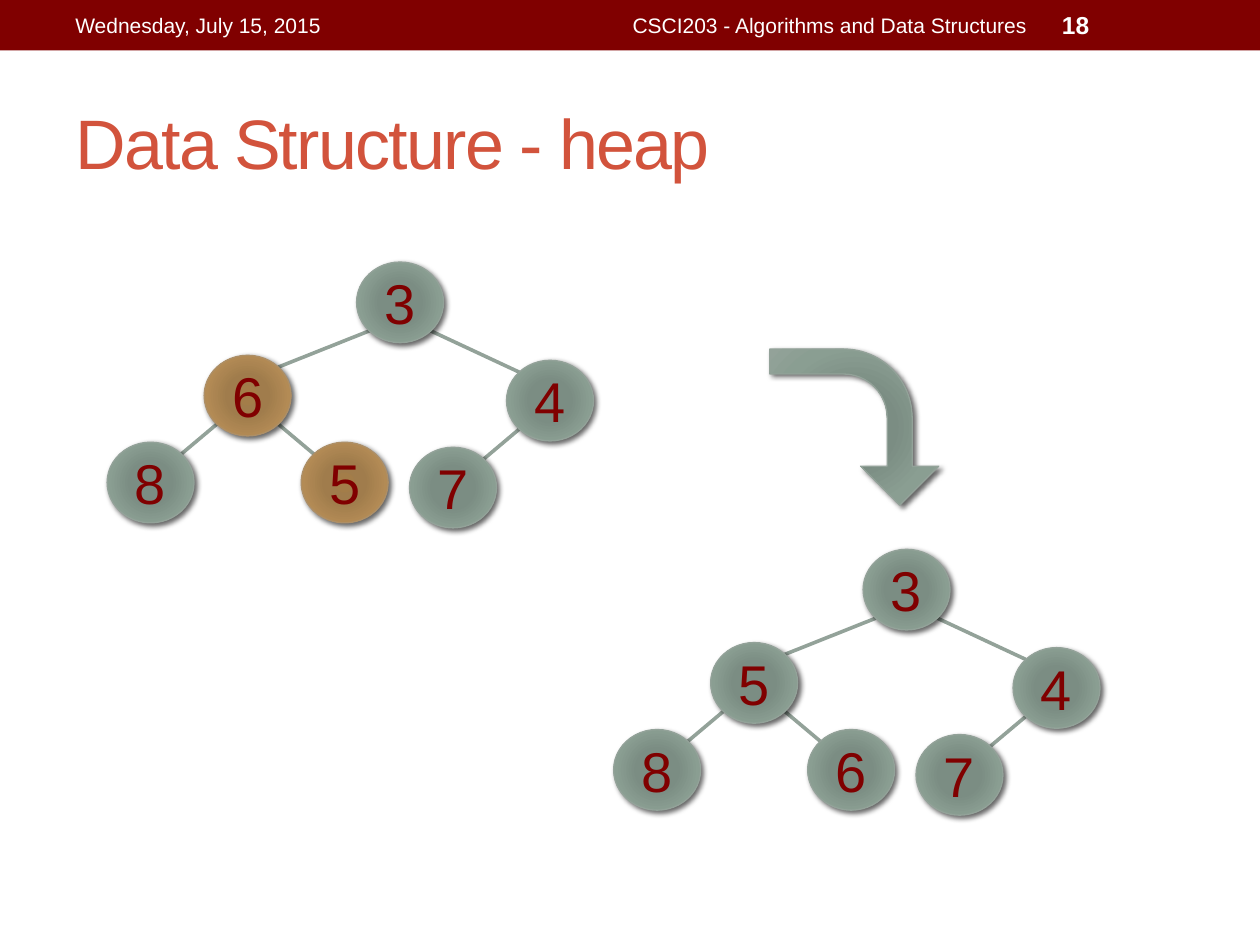
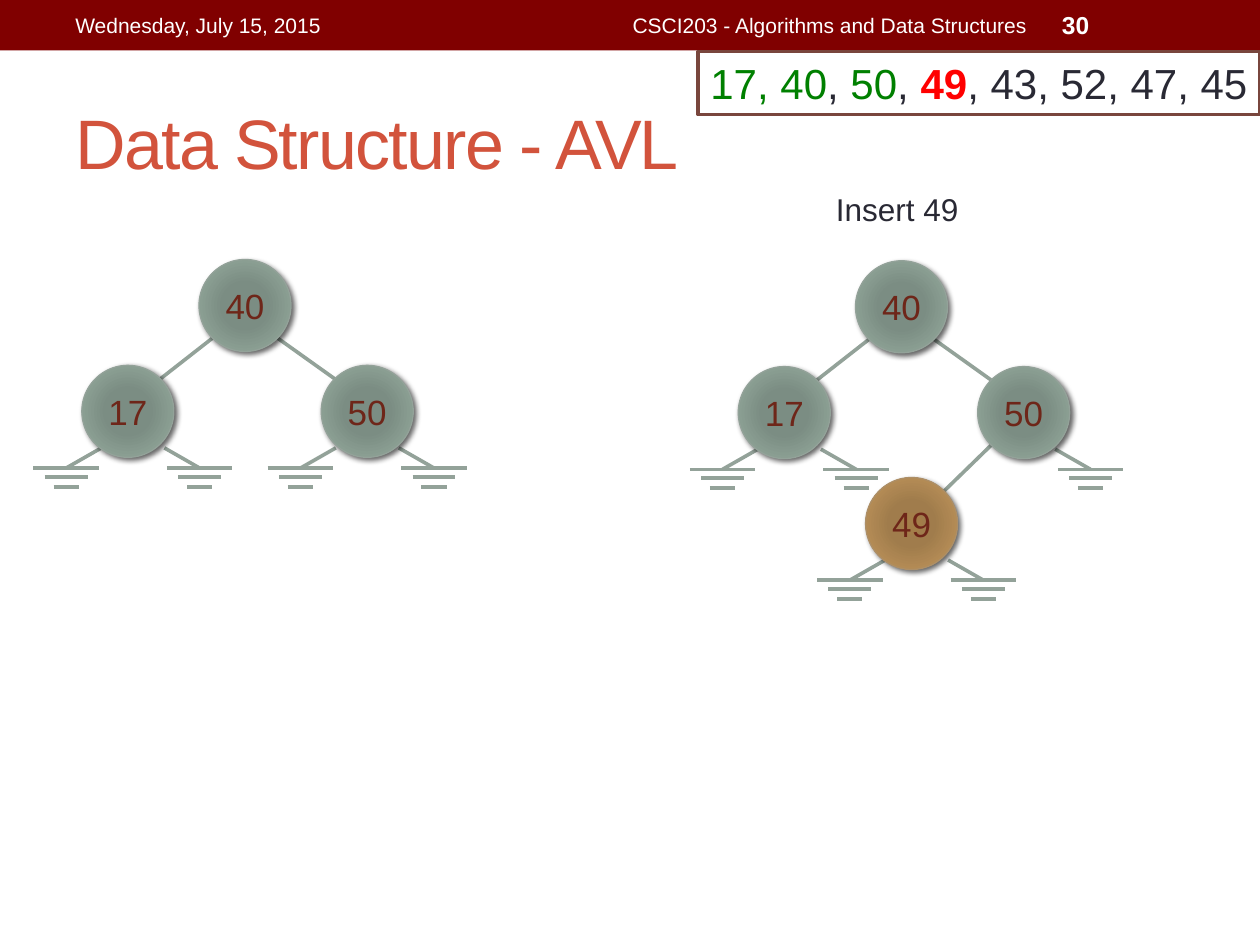
from dataclasses import dataclass
from math import sqrt

from lxml import etree
from pptx import Presentation
from pptx.dml.color import RGBColor
from pptx.enum import shapes, text
from pptx.oxml import ns
from pptx.util import Inches, Pt


@dataclass(frozen=True)
class Theme:
    font: str = "Arial"
    maroon: str = "800000"
    title: str = "D2533C"
    ink: str = "292934"
    white: str = "FFFFFF"
    rust: str = "6E2619"
    frame: str = "79463D"
    done: str = "008000"
    current: str = "FF0000"
    sage: tuple = ("7B8E82", "7B8D83", "8A9E92", "93A299")
    amber: tuple = ("A37D49", "A07C4C", "B38B55", "AD8F67")
    stops: tuple = (0, 34, 70, 100)
    title_size: int = 40
    heap_size: int = 32
    sequence_size: int = 24
    avl_size: int = 20
    caption_size: int = 18
    number_size: int = 14
    footer_size: int = 12
    line_width: float = 2.08
    outline_width: float = 0.75


THEME = Theme()
ALIGN = text.PP_ALIGN
ANCHOR = text.MSO_ANCHOR


@dataclass
class Node:
    label: str
    left: float
    top: float
    colors: tuple = THEME.sage
    ground_drift: float = 0.04


HEAP_SLOTS = [(2.83, 2.08), (1.62, 2.82), (4.02, 2.86),
              (0.85, 3.51), (2.39, 3.51), (3.25, 3.55)]
HEAP_NODE = (0.69, 0.64)
AVL_NODE = (0.73, 0.73)
GROUND_BARS = [(0, 0.26), (0.07, 0.17), (0.15, 0.1)]


def rgb(color):
    return RGBColor.from_string(color)


def lengths(*values):
    return [Inches(value) for value in values]


def write(shape, content, size, color=THEME.ink, bold=False, align=ALIGN.LEFT,
          anchor=ANCHOR.MIDDLE, wrap=True, inset=None, spacing=None):
    frame = shape.text_frame
    frame.word_wrap = wrap
    frame.vertical_anchor = anchor
    if inset is not None:
        frame.margin_left = frame.margin_right = Inches(inset)
        frame.margin_top = frame.margin_bottom = Inches(inset)
    paragraph = frame.paragraphs[0]
    paragraph.alignment = align
    runs = [(content, color, bold)] if isinstance(content, str) else content
    for words, run_color, run_bold in runs:
        run = paragraph.add_run()
        run.text = words
        run.font.name = THEME.font
        run.font.size = Pt(size)
        run.font.bold = run_bold
        run.font.color.rgb = rgb(run_color)
        if spacing is not None:
            run.font._element.set("spc", str(spacing * 100))


def add_text(slide, box, content, size, **text_format):
    shape = slide.shapes.add_textbox(*lengths(*box))
    write(shape, content, size, **text_format)
    return shape


def add_band(slide):
    band = slide.shapes.add_shape(shapes.MSO_SHAPE.RECTANGLE, *lengths(0, 0, 10, 0.4))
    band.shadow.inherit = False
    band.fill.solid()
    band.fill.fore_color.rgb = rgb(THEME.maroon)
    band.line.fill.background()


def add_slide(presentation, title, number):
    slide = presentation.slides.add_slide(presentation.slide_layouts[5])
    add_band(slide)
    heading = slide.shapes.title
    heading.left, heading.top, heading.width, heading.height = lengths(0.5, 0.58, 9, 1.08)
    write(heading, title, THEME.title_size, color=THEME.title, spacing=-1)
    add_text(slide, (0.5, 0.02, 3.17, 0.36), "Wednesday, July 15, 2015",
             THEME.footer_size, color=THEME.white)
    add_text(slide, (3.75, 0.02, 4.5, 0.36), "CSCI203 - Algorithms and Data Structures",
             THEME.footer_size, color=THEME.white, align=ALIGN.RIGHT)
    add_text(slide, (8.33, 0.02, 1.17, 0.36), number,
             THEME.number_size, color=THEME.white, bold=True)
    return slide


def add_child(parent, tag, **attributes):
    element = etree.SubElement(parent, ns.qn(tag))
    for name, value in attributes.items():
        element.set(name, str(value))
    return element


def fill_radial(shape, colors):
    shape.fill.background()
    properties = shape._element.spPr
    gradient = etree.Element(ns.qn("a:gradFill"), rotWithShape="1")
    stop_list = add_child(gradient, "a:gsLst")
    for position, color in zip(THEME.stops, colors):
        stop = add_child(stop_list, "a:gs", pos=position * 1000)
        add_child(stop, "a:srgbClr", val=color)
    circle = add_child(gradient, "a:path", path="circle")
    add_child(circle, "a:fillToRect", l=100000, t=100000, r=100000, b=100000)
    properties.replace(properties.find(ns.qn("a:noFill")), gradient)


def cast_shadow(shape):
    shape.shadow.inherit = False
    effects = shape._element.spPr.find(ns.qn("a:effectLst"))
    shadow = add_child(effects, "a:outerShdw", blurRad=Pt(3), dist=Pt(2),
                       dir=45 * 60000, algn="br", rotWithShape=0)
    color = add_child(shadow, "a:srgbClr", val="000000")
    add_child(color, "a:alpha", val=60000)


def add_glossy(slide, kind, box, colors):
    shape = slide.shapes.add_shape(kind, *lengths(*box))
    fill_radial(shape, colors)
    shape.line.color.rgb = rgb(colors[-1])
    shape.line.width = Pt(THEME.outline_width)
    cast_shadow(shape)
    return shape


def add_line(slide, start, end):
    line = slide.shapes.add_connector(shapes.MSO_CONNECTOR.STRAIGHT,
                                      *lengths(*start, *end))
    line.line.color.rgb = rgb(THEME.sage[-1])
    line.line.width = Pt(THEME.line_width)
    add_child(line._element.spPr, "a:effectLst")


def add_ground(slide, x, y, side):
    add_line(slide, (x - side * 0.28, y - 0.16), (x, y))
    for drop, half in GROUND_BARS:
        add_line(slide, (x - half, y + drop), (x + half, y + drop))


def draw_tree(slide, nodes, node_size, font_size, color, offset=(0, 0), grounded=False):
    width, height = node_size
    reach_x, reach_y = width / sqrt(8), height / sqrt(8)
    corners = {index: (node.left + offset[0], node.top + offset[1])
               for index, node in nodes.items()}
    centres = {index: (left + width / 2, top + height / 2)
               for index, (left, top) in corners.items()}
    for index, (x, y) in centres.items():
        for child, side in ((2 * index + 1, -1), (2 * index + 2, 1)):
            if child in nodes:
                child_x, child_y = centres[child]
                add_line(slide, (x + side * reach_x, y + reach_y),
                         (child_x - side * reach_x, child_y - reach_y))
            elif grounded:
                drift = nodes[index].ground_drift
                add_ground(slide, x + side * 0.53 + drift, y + 0.45, side)
    for index, node in nodes.items():
        circle = add_glossy(slide, shapes.MSO_SHAPE.OVAL,
                            (*corners[index], *node_size), node.colors)
        write(circle, node.label, font_size, color=color, align=ALIGN.CENTER, inset=0)


def draw_heap(slide, labels, offset=(0, 0), swapped=()):
    nodes = {index: Node(label, *slot, THEME.amber if label in swapped else THEME.sage)
             for index, (label, slot) in enumerate(zip(labels, HEAP_SLOTS))}
    draw_tree(slide, nodes, HEAP_NODE, THEME.heap_size, THEME.maroon, offset)


def draw_avl(slide, nodes, offset=(0, 0)):
    draw_tree(slide, nodes, AVL_NODE, THEME.avl_size, THEME.rust, offset, grounded=True)


def build_heap_slide(presentation):
    slide = add_slide(presentation, "Data Structure - heap", "18")
    draw_heap(slide, "364857", swapped="65")
    draw_heap(slide, "354867", offset=(4.02, 2.28))
    arrow = add_glossy(slide, shapes.MSO_SHAPE.BENT_ARROW,
                       (6.16, 2.72, 1.24, 1.34), THEME.sage)
    arrow.rotation = 90
    for index, value in enumerate((0.16, 0.25, 0.25, 0.44)):
        arrow.adjustments[index] = value


def build_avl_slide(presentation):
    slide = add_slide(presentation, "Data Structure - AVL", "30")
    add_text(slide, (6.33, 1.46, 1.58, 0.4), "Insert 49", THEME.caption_size,
             align=ALIGN.CENTER, anchor=ANCHOR.TOP)
    before = {0: Node("40", 1.58, 2.06), 1: Node("17", 0.65, 2.9),
              2: Node("50", 2.55, 2.9, ground_drift=0)}
    after = {**before, 5: Node("49", 1.66, 3.78, THEME.amber)}
    draw_avl(slide, before)
    draw_avl(slide, after, offset=(5.21, 0.01))
    sequence = add_text(slide, (5.54, 0.41, 4.46, 0.5), [
        ("17, 40", THEME.done, False), (",", THEME.ink, False),
        (" 50", THEME.done, False), (", ", THEME.ink, False),
        ("49", THEME.current, True), (", 43, 52, 47, 45", THEME.ink, False),
    ], THEME.sequence_size, anchor=ANCHOR.TOP, wrap=False)
    sequence.fill.solid()
    sequence.fill.fore_color.rgb = rgb(THEME.white)
    sequence.line.color.rgb = rgb(THEME.frame)
    sequence.line.width = Pt(THEME.line_width)


def main():
    presentation = Presentation()
    presentation.slide_width, presentation.slide_height = lengths(10, 7.5)
    build_heap_slide(presentation)
    build_avl_slide(presentation)
    presentation.save("out.pptx")


if __name__ == "__main__":
    main()
